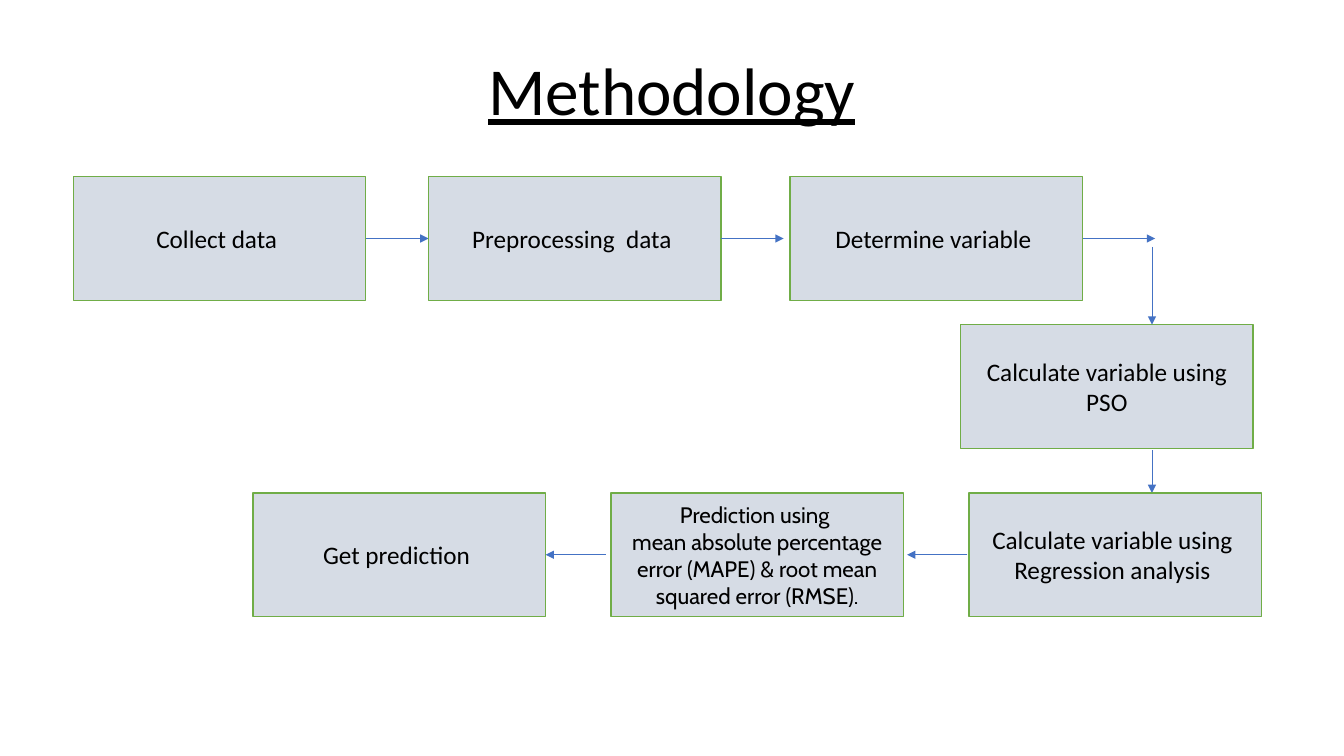
from dataclasses import dataclass
from lxml import etree
from pptx import Presentation
from pptx.dml.color import RGBColor
from pptx.enum import shapes, text
from pptx.oxml.ns import qn
from pptx.util import Cm, Pt


@dataclass(frozen=True)
class Theme:
    ink: RGBColor = RGBColor(0, 0, 0)
    fill: RGBColor = RGBColor(0xD6, 0xDC, 0xE5)
    edge: RGBColor = RGBColor(0x70, 0xAD, 0x47)
    arrow: RGBColor = RGBColor(0x44, 0x72, 0xC4)
    main: str = "Calibri"
    alt: str = "Cabin"
    head: int = 48
    body: int = 18
    small: int = 16


THEME = Theme()
WIDE, HIGH = 7.37, 3.12
MID = HIGH / 2


def style(frame, size, face):
    frame.word_wrap = True
    for para in frame.paragraphs:
        para.alignment = text.PP_ALIGN.CENTER
        para.font.size = Pt(size)
        para.font.name = face
        para.font.color.rgb = THEME.ink


def add_step(slide, left, top, label, size=THEME.body, face=THEME.main):
    step = slide.shapes.add_shape(
        shapes.MSO_SHAPE.RECTANGLE, Cm(left), Cm(top), Cm(WIDE), Cm(HIGH))
    step.shadow.inherit = False
    step.fill.solid()
    step.fill.fore_color.rgb = THEME.fill
    step.line.color.rgb = THEME.edge
    step.line.width = Pt(1)
    frame = step.text_frame
    frame.text = label
    frame.vertical_anchor = text.MSO_ANCHOR.MIDDLE
    style(frame, size, face)


def add_arrow(slide, left, top, right=0, down=0):
    arrow = slide.shapes.add_connector(
        shapes.MSO_CONNECTOR.STRAIGHT,
        Cm(left), Cm(top), Cm(left + right), Cm(top + down))
    arrow.line.color.rgb = THEME.arrow
    arrow.line.width = Pt(0.5)
    props = arrow.element.spPr
    etree.SubElement(props.find(qn("a:ln")), qn("a:tailEnd"), type="triangle")
    etree.SubElement(props, qn("a:effectLst"))


def add_title(slide, left, top, wide, high):
    title = slide.shapes.title
    title.left, title.top = Cm(left), Cm(top)
    title.width, title.height = Cm(wide), Cm(high)
    frame = title.text_frame
    frame.text = "Methodology"
    frame.auto_size = text.MSO_AUTO_SIZE.NONE
    frame.vertical_anchor = text.MSO_ANCHOR.BOTTOM
    style(frame, THEME.head, THEME.main)
    frame.paragraphs[0].font.underline = True
    frame.paragraphs[0].line_spacing = 0.9


def add_top(slide, left, top):
    steps = [
        (0, "Collect data ", 1.58),
        (8.95, "Preprocessing  data ", 1.58),
        (18.06, "Determine variable ", 1.83),
    ]
    for shift, label, reach in steps:
        add_step(slide, left + shift, top, label)
        add_arrow(slide, left + shift + WIDE, top + MID, right=reach)


def add_side(slide, left, top):
    add_step(slide, left, top, "Calculate variable using PSO")
    axis = left + 4.82
    add_arrow(slide, axis, top - 1.96, down=1.96)
    add_arrow(slide, axis, top + HIGH + 0.05, down=1.07)


def add_base(slide, left, top):
    pitch, reach = 9.02, 1.52
    steps = [
        ("Get prediction ", {}),
        ("Prediction using \nmean absolute percentage error (MAPE) "
         "& root mean squared error (RMSE).",
         {"size": THEME.small, "face": THEME.alt}),
        ("Calculate variable using \nRegression analysis ", {}),
    ]
    for index, (label, look) in enumerate(steps):
        add_step(slide, left + index * pitch, top, label, **look)
    for start in (15.27, 24.38):
        add_arrow(slide, start, top + MID, right=-reach)


def main():
    deck = Presentation()
    deck.slide_width, deck.slide_height = Cm(33.87), Cm(19.05)
    slide = deck.slides.add_slide(deck.slide_layouts[5])
    add_title(slide, 4.23, 0.56, 25.4, 2.84)
    add_top(slide, 1.85, 4.45)
    add_side(slide, 24.21, 8.18)
    add_base(slide, 6.38, 12.42)
    deck.save("out.pptx")


if __name__ == "__main__":
    main()
